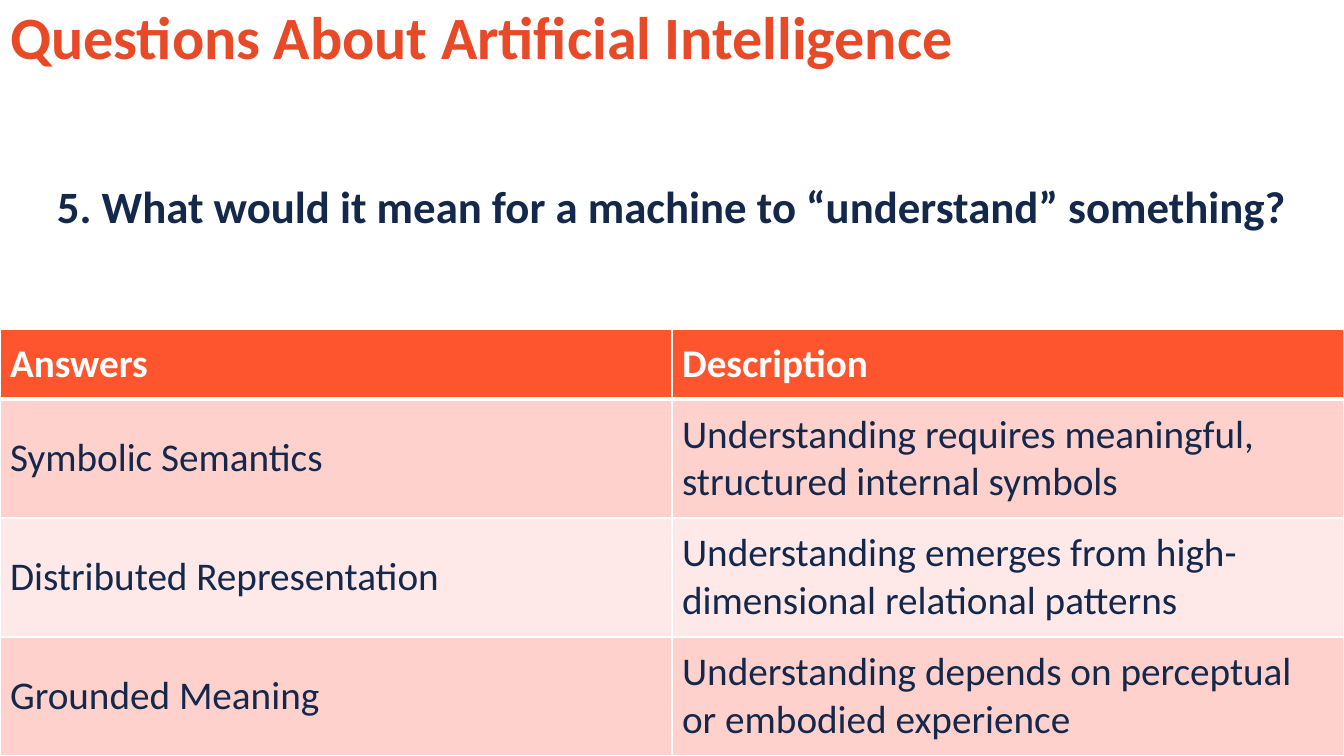
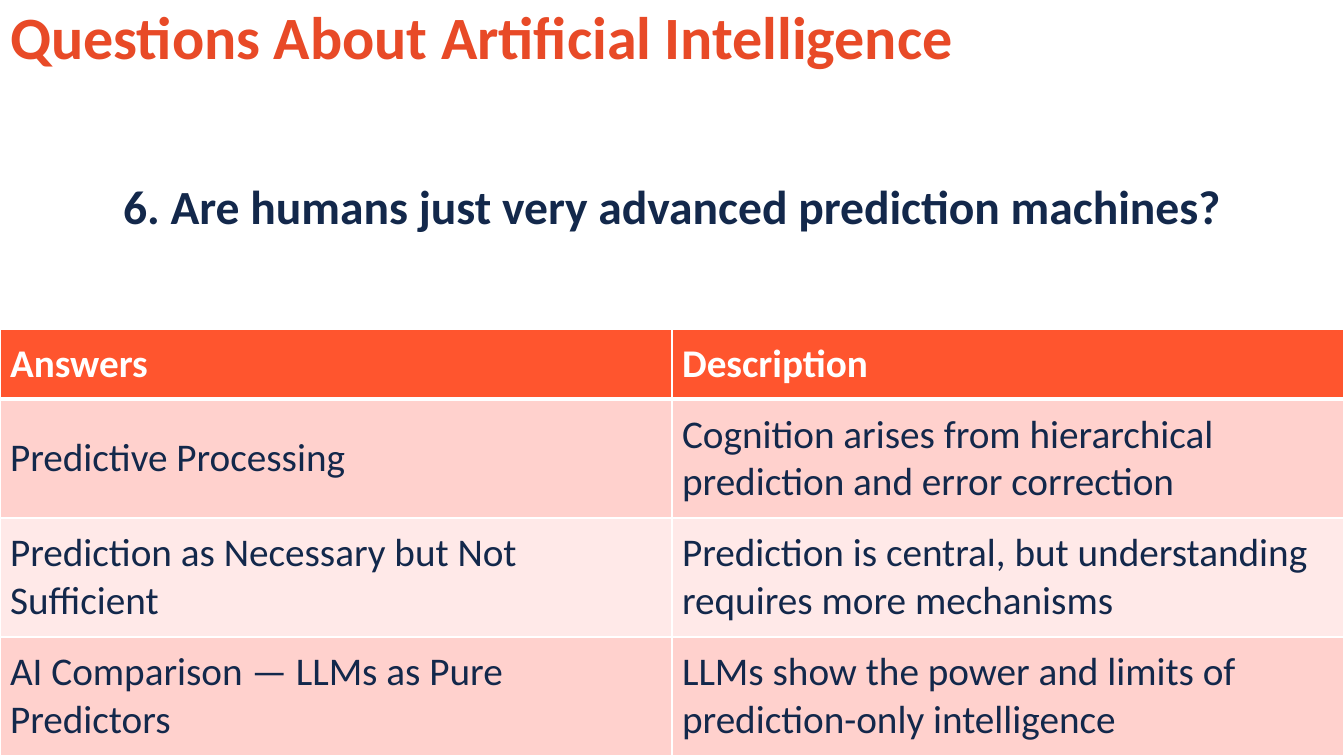
from lxml import etree
from pptx import Presentation
from pptx import util as u
from pptx.dml import color
from pptx.enum import text
from pptx.oxml import ns

WIDE, HIGH = 13.33, 7.5
HEX = {"title": "E84A27", "ink": "13284B", "head": "FF552E",
       "odd": "FFD1CD", "even": "FFE9E8", "line": "FFFFFF"}
TITLE = "Questions About Artificial Intelligence"
HEAD = ("Answers", "Description")
ROWS = (0.69, 1.18, 1.18, 1.18)
FRAME = {"word_wrap": True, "auto_size": text.MSO_AUTO_SIZE.NONE,
         "vertical_anchor": text.MSO_ANCHOR.MIDDLE}
PAGES = [
    {"ask": "5. What would it mean for a machine to “understand” something?",
     "size": 32, "box": (12.42, 0.64),
     "rows": [
         ("Symbolic Semantics",
          "Understanding requires meaningful, structured internal symbols"),
         ("Distributed Representation",
          "Understanding emerges from high-dimensional relational patterns"),
         ("Grounded Meaning",
          "Understanding depends on perceptual or embodied experience")]},
    {"ask": "6. Are humans just very advanced prediction machines?",
     "size": 34, "box": (11.14, 0.67),
     "rows": [
         ("Predictive Processing",
          "Cognition arises from hierarchical prediction and error correction"),
         ("Prediction as Necessary but Not Sufficient",
          "Prediction is central, but understanding requires more mechanisms"),
         ("AI Comparison — LLMs as Pure Predictors",
          "LLMs show the power and limits of prediction-only intelligence")]},
]


def apply(item, vals):
    """Set each named attribute of an item."""
    for name, val in vals.items():
        setattr(item, name, val)


def write(frame, words, size, tone, bold=True, **para):
    """Fill a text frame with one formatted paragraph."""
    frame.text = words
    line = frame.paragraphs[0]
    apply(line, para)
    apply(line.font, {"name": "Calibri", "size": u.Pt(size), "bold": bold})
    line.font.color.rgb = color.RGBColor.from_string(HEX[tone])


def place(shape, box):
    """Move a shape to a box given in inches."""
    names = ("left", "top", "width", "height")
    apply(shape, dict(zip(names, map(u.Inches, box))))


def add_title(slide, box):
    """Format the title placeholder in its box."""
    place(slide.shapes.title, box)
    frame = slide.shapes.title.text_frame
    apply(frame, FRAME)
    write(frame, TITLE, 42.9, "title",
          alignment=text.PP_ALIGN.LEFT, line_spacing=0.9)


def add_ask(slide, page, mid):
    """Centre the question on the slide at a given height."""
    wide, high = page["box"]
    box = ((WIDE - wide) / 2, mid - high / 2, wide, high)
    shape = slide.shapes.add_textbox(*map(u.Inches, box))
    apply(shape.text_frame, FRAME)
    write(shape.text_frame, page["ask"], page["size"], "ink",
          alignment=text.PP_ALIGN.CENTER)


def edge(cell, side, width):
    """Draw one side of a cell in the line colour."""
    props = cell._tc.get_or_add_tcPr()
    line = etree.SubElement(props, ns.qn(f"a:ln{side}"), w=str(u.Pt(width)))
    fill = etree.SubElement(line, ns.qn("a:solidFill"))
    etree.SubElement(fill, ns.qn("a:srgbClr"), val=HEX["line"])


def add_grid(slide, rows, box):
    """Build the table of answers in its box."""
    data = [HEAD, *rows]
    shape = slide.shapes.add_table(len(data), len(HEAD), *map(u.Inches, box))
    table = shape.table
    for col in table.columns:
        col.width = u.Inches(box[2] / len(HEAD))
    for r, words in enumerate(data):
        table.rows[r].height = u.Inches(ROWS[r])
        top = r == 0
        fill = "head" if top else "odd" if r % 2 else "even"
        for c, word in enumerate(words):
            cell = table.cell(r, c)
            cell.vertical_anchor = text.MSO_ANCHOR.MIDDLE
            write(cell.text_frame, word, 28, "line" if top else "ink", top)
            for side in "LRTB":
                thick = (r, side) in ((0, "B"), (1, "T"))
                edge(cell, side, 3 if thick else 1)
            cell.fill.solid()
            cell.fill.fore_color.rgb = color.RGBColor.from_string(HEX[fill])


def add_page(deck, page):
    """Add one question slide."""
    slide = deck.slides.add_slide(deck.slide_layouts[5])
    add_title(slide, (0, 0, 12.56, 0.8))
    high = sum(ROWS)
    add_grid(slide, page["rows"], (0, HIGH - high, WIDE, high))
    add_ask(slide, page, 2.04)


def main():
    """Build and save the deck."""
    deck = Presentation()
    apply(deck, {"slide_width": u.Inches(WIDE), "slide_height": u.Inches(HIGH)})
    for page in PAGES:
        add_page(deck, page)
    deck.save("out.pptx")


if __name__ == "__main__":
    main()
